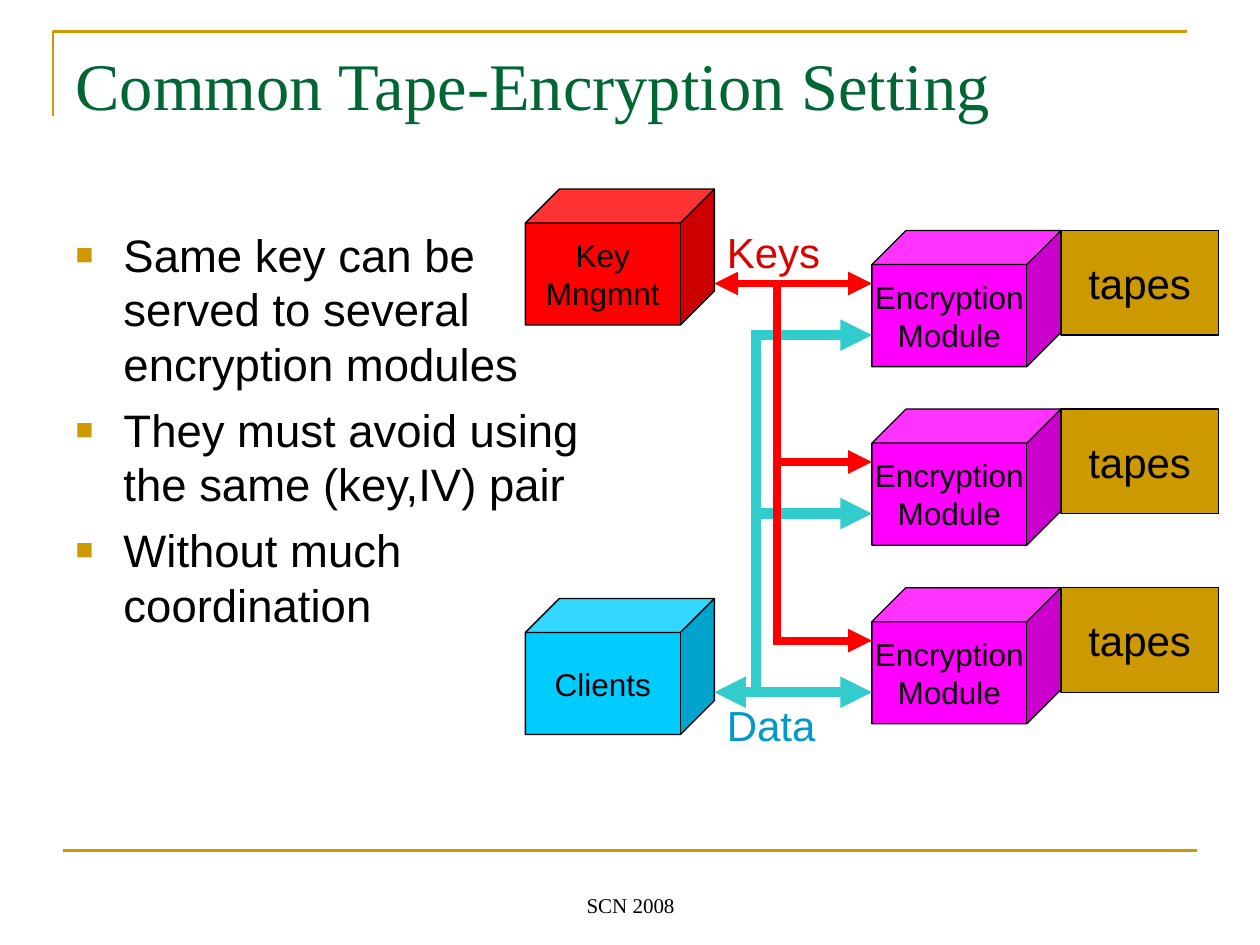
from lxml import etree
from pptx import Presentation
from pptx.dml.color import RGBColor
from pptx.enum.shapes import MSO_CONNECTOR, MSO_SHAPE
from pptx.enum.text import MSO_ANCHOR, MSO_AUTO_SIZE, PP_ALIGN
from pptx.oxml.ns import qn
from pptx.util import Inches, Pt

CUBE, RECTANGLE = MSO_SHAPE.CUBE, MSO_SHAPE.RECTANGLE
STRAIGHT = MSO_CONNECTOR.STRAIGHT
LEFT, CENTER = PP_ALIGN.LEFT, PP_ALIGN.CENTER
TOP, MIDDLE, BOTTOM = MSO_ANCHOR.TOP, MSO_ANCHOR.MIDDLE, MSO_ANCHOR.BOTTOM
NO_FIT = MSO_AUTO_SIZE.NONE

GOLD, GREEN, BLACK = "CC9900", "006633", "000000"
RED, TEAL, MAGENTA, CYAN = "FF0000", "33CCCC", "FF00FF", "00CCFF"
SANS, SERIF = "Arial", "Times New Roman"
ROW_PITCH = 1.417
KEY_DROP, DATA_DROP = 0.42, 0.83


def color(value):
    """Turn a hex string into a colour."""
    return RGBColor.from_string(value)


def place(shape, box):
    """Move a shape into a box of left, top, width and height in inches."""
    shape.left, shape.top, shape.width, shape.height = map(Inches, box)


def write(shape, paragraphs, size=18, font=SANS, ink=BLACK, align=LEFT,
          anchor=TOP, wrap=False):
    """Fill a shape with formatted paragraphs and return them."""
    frame = shape.text_frame
    frame.text = "\n".join(paragraphs)
    frame.auto_size = NO_FIT
    frame.word_wrap = wrap
    frame.vertical_anchor = anchor
    frame.margin_left = frame.margin_right = Inches(0.1)
    frame.margin_top = frame.margin_bottom = Inches(0.05)
    for para in frame.paragraphs:
        para.alignment = align
        for span in para.runs:
            span.font.size = Pt(size)
            span.font.name = font
            span.font.color.rgb = color(ink)
    return frame.paragraphs


def add_label(page, box, text, **style):
    """Add a text box with one line of text."""
    label = page.shapes.add_textbox(*map(Inches, box))
    write(label, [text], **style)


def add_block(page, kind, box, fill, paragraphs, size=18):
    """Add an outlined shape with centred text."""
    block = page.shapes.add_shape(kind, *map(Inches, box))
    block.shadow.inherit = False
    block.fill.solid()
    block.fill.fore_color.rgb = color(fill)
    block.line.color.rgb = color(BLACK)
    block.line.width = Pt(0.75)
    write(block, paragraphs, size=size, align=CENTER, anchor=MIDDLE)


def add_line(page, start, end, ink, width, head=False, tail=False):
    """Add a straight line with optional arrowheads."""
    line = page.shapes.add_connector(STRAIGHT, *map(Inches, start + end))
    line.line.color.rgb = color(ink)
    line.line.width = Pt(width)
    outline = line.line._get_or_add_ln()
    for wanted, tag in ((head, "a:headEnd"), (tail, "a:tailEnd")):
        if wanted:
            etree.SubElement(outline, qn(tag)).set("type", "triangle")
    etree.SubElement(line._element.spPr, qn("a:effectLst"))


def add_bullet(para):
    """Give a paragraph a gold square bullet with a hanging indent."""
    para.space_before = Pt(6.5)
    props = para._p.get_or_add_pPr()
    props.set("marL", str(Inches(0.38)))
    props.set("indent", str(-Inches(0.38)))
    tint = etree.SubElement(props, qn("a:buClr"))
    etree.SubElement(tint, qn("a:srgbClr")).set("val", GOLD)
    etree.SubElement(props, qn("a:buSzPct")).set("val", "65000")
    etree.SubElement(props, qn("a:buFont")).set("typeface", SANS)
    etree.SubElement(props, qn("a:buChar")).set("char", "■")


def draw_frame(page, left, top, width, height):
    """Draw the corner rule above the title and the rule above the footer."""
    builder = page.shapes.build_freeform(
        Inches(left), Inches(top + height))
    builder.add_line_segments(
        [(Inches(left), Inches(top)), (Inches(left + width), Inches(top))],
        close=False)
    corner = builder.convert_to_shape()
    corner.shadow.inherit = False
    corner.fill.background()
    corner.line.color.rgb = color(GOLD)
    corner.line.width = Pt(1.5)
    add_line(page, (left + 0.08, 6.75), (left + 0.08 + width, 6.75), GOLD, 1.5)


def fill_title(page, box):
    """Place and write the title."""
    title = page.shapes.title
    place(title, box)
    write(title, ["Common Tape-Encryption Setting"], size=38, font=SERIF,
          ink=GREEN, wrap=True)


def fill_body(page, box):
    """Place and write the bullet list."""
    body = page.placeholders[1]
    place(body, box)
    points = ["Same key can be served to several encryption modules",
              "They must avoid using the same (key,IV) pair",
              "Without much\vcoordination"]
    for para in write(body, points, size=26, wrap=True):
        add_bullet(para)


def draw_diagram(page, left, top):
    """Draw the sources, the encryption modules and the lines joining them."""
    source_right, module_left = left + 1.5, left + 2.75
    rows = [top + 0.33 + ROW_PITCH * index for index in range(3)]
    for row in rows:
        add_block(page, RECTANGLE, (module_left + 1.5, row, 1.25, 0.83),
                  GOLD, ["tapes"], size=24)
        add_block(page, CUBE, (module_left, row, 1.5, 1.08), MAGENTA,
                  ["Encryption", "Module"])
    add_block(page, CUBE, (left, top, 1.5, 1.08), RED, ["Key\vMngmnt"])
    add_block(page, CUBE, (left, top + 3.25, 1.5, 1.08), CYAN, ["Clients"])

    buses = ((TEAL, 6, DATA_DROP, source_right + 0.33, 2),
             (RED, 4.5, KEY_DROP, source_right + 0.5, 0))
    for ink, width, drop, bus, source_row in buses:
        levels = [row + drop for row in rows]
        add_line(page, (bus, levels[0]), (bus, levels[-1]), ink, width)
        for index, level in enumerate(levels):
            from_source = index == source_row
            start = source_right if from_source else bus - width / 144
            add_line(page, (start, level), (module_left, level), ink, width,
                     head=from_source, tail=True)

    add_label(page, (source_right, top + 4, 0.9, 0.5), "Data", size=24,
              ink="0099CC")
    add_label(page, (source_right, top + 0.25, 0.94, 0.5), "Keys", size=24,
              ink="DC0000")


def main():
    """Build the deck and save it."""
    deck = Presentation()
    deck.slide_width, deck.slide_height = Inches(10), Inches(7.5)
    page = deck.slides.add_slide(deck.slide_layouts[1])
    draw_frame(page, 0.42, 0.25, 9, 0.67)
    fill_title(page, (0.5, 0.3, 9, 1.25))
    fill_body(page, (0.5, 1.75, 4.42, 4.95))
    draw_diagram(page, 4.17, 1.5)
    add_label(page, (3.42, 6.83, 3.17, 0.5), "SCN 2008", size=12, font=SERIF,
              align=CENTER, anchor=BOTTOM, wrap=True)
    deck.save("out.pptx")


if __name__ == "__main__":
    main()
